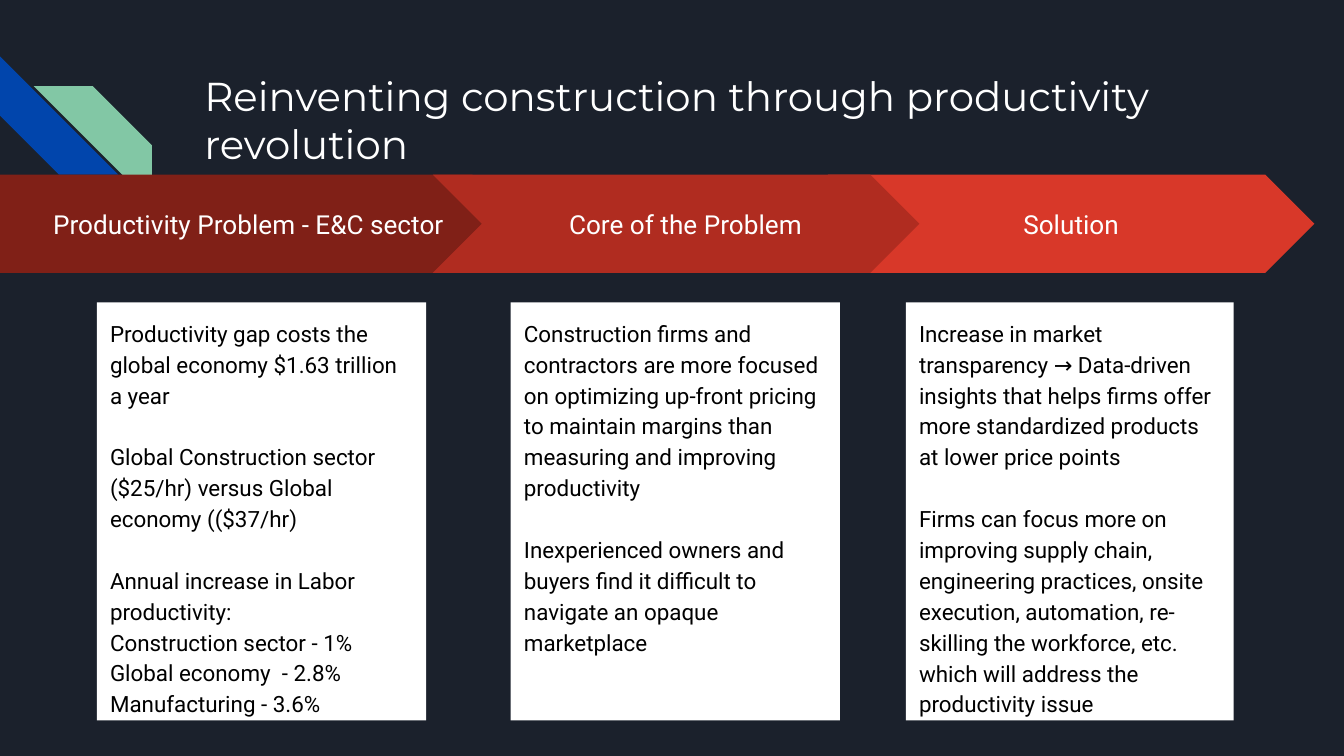
from pptx import Presentation
from pptx.dml.color import RGBColor
from pptx.enum.shapes import MSO_SHAPE as Shape
from pptx.enum.text import MSO_ANCHOR as Anchor, MSO_AUTO_SIZE as AutoSize, PP_ALIGN as Align
from pptx.oxml.ns import qn
from pptx.util import Inches, Pt

NAVY = RGBColor(0x1B, 0x21, 0x2C)
BLUE = RGBColor(0x01, 0x45, 0xAC)
GREEN = RGBColor(0x82, 0xC7, 0xA5)
DARK_RED = RGBColor(0x80, 0x20, 0x17)
RED = RGBColor(0xB0, 0x2C, 0x20)
BRIGHT_RED = RGBColor(0xD8, 0x38, 0x29)
WHITE = RGBColor(0xFF, 0xFF, 0xFF)
BLACK = RGBColor(0x00, 0x00, 0x00)

presentation = Presentation()
presentation.slide_width = Inches(10)
presentation.slide_height = Inches(10) * 9 // 16
slide = presentation.slides.add_slide(presentation.slide_layouts[5])
slide.background.fill.solid()
slide.background.fill.fore_color.rgb = NAVY


def add_block(kind, left, top, width, height, color):
    shape = slide.shapes.add_shape(kind, Inches(left), Inches(top), Inches(width), Inches(height))
    shape.shadow.inherit = False
    shape.fill.solid()
    shape.fill.fore_color.rgb = color
    shape.line.fill.background()
    return shape


def write_text(shape, lines, size, font_name, color, anchor, align):
    frame = shape.text_frame
    frame.word_wrap = True
    frame.auto_size = AutoSize.NONE
    frame.vertical_anchor = anchor
    frame.margin_left = frame.margin_right = Inches(0.1)
    frame.margin_top = frame.margin_bottom = Inches(0.1)
    frame.text = "\n".join(lines)
    for paragraph in frame.paragraphs:
        paragraph.alignment = align
        paragraph.font.size = Pt(size)
        paragraph.font.name = font_name
        paragraph.font.color.rgb = color
    return frame


blue_stripe = add_block(Shape.DIAGONAL_STRIPE, 0, 0.42, 0.88, 0.88, BLUE)
blue_stripe.rotation = 270
green_stripe = add_block(Shape.DIAGONAL_STRIPE, 0.25, 0.64, 0.88, 0.88, GREEN)
green_stripe.element.spPr.find(qn("a:xfrm")).set("flipH", "1")

title = slide.shapes.title
title.left, title.top = Inches(1.42), Inches(0.43)
title.width, title.height = Inches(7.7), Inches(1)
write_text(title, ["Reinventing construction through productivity revolution"],
           21.6, "Montserrat", WHITE, Anchor.TOP, Align.LEFT)

solution = [
    ["Increase in market transparency → Data-driven insights that helps firms offer "
     "more standardized products at lower price points"],
    ["Firms can focus more on improving supply chain, engineering practices, onsite execution, "
     "automation, re-skilling the workforce, etc. which will address the productivity issue"],
]
problem = [
    ["Productivity gap costs the global economy $1.63 trillion a year"],
    ["Global Construction sector ($25/hr) versus Global economy (($37/hr)"],
    ["Annual increase in Labor productivity:", "Construction sector - 1%",
     "Global economy  - 2.8%", "Manufacturing - 3.6%"],
]
core = [
    ["Construction firms and contractors are more focused on optimizing up-front pricing "
     "to maintain margins than measuring and improving productivity"],
    ["Inexperienced owners and buyers find it difficult to navigate an opaque marketplace"],
]

stages = [
    ("Solution", Shape.CHEVRON, 6.16, 3.62, BRIGHT_RED, 0.1, 6.74, 2.44, solution),
    ("Productivity Problem - E&C sector", Shape.PENTAGON, 0, 3.88, DARK_RED, 0.1, 0.72, 2.45, problem),
    ("Core of the Problem", Shape.CHEVRON, 3.22, 3.62, RED, 0.24, 3.8, 2.45, core),
]
for heading, kind, left, width, color, indent, card_left, card_width, groups in stages:
    arrow = add_block(kind, left, 1.3, width, 0.73, color)
    arrow.adjustments[0] = 0.5
    frame = write_text(arrow, [heading], 14, "Roboto", WHITE, Anchor.MIDDLE, Align.CENTER)
    frame.margin_left = Inches(indent)

    card = add_block(Shape.RECTANGLE, card_left, 2.25, card_width, 3.11, WHITE)
    lines = [line for group in groups for line in group]
    group_starts = [group[0] for group in groups[1:]]
    frame = write_text(card, lines, 12, "Roboto", BLACK, Anchor.TOP, Align.LEFT)
    for paragraph in frame.paragraphs:
        paragraph.line_spacing = 1.15
        if paragraph.text in group_starts:
            paragraph.space_before = Pt(16.5)

presentation.save("out.pptx")
